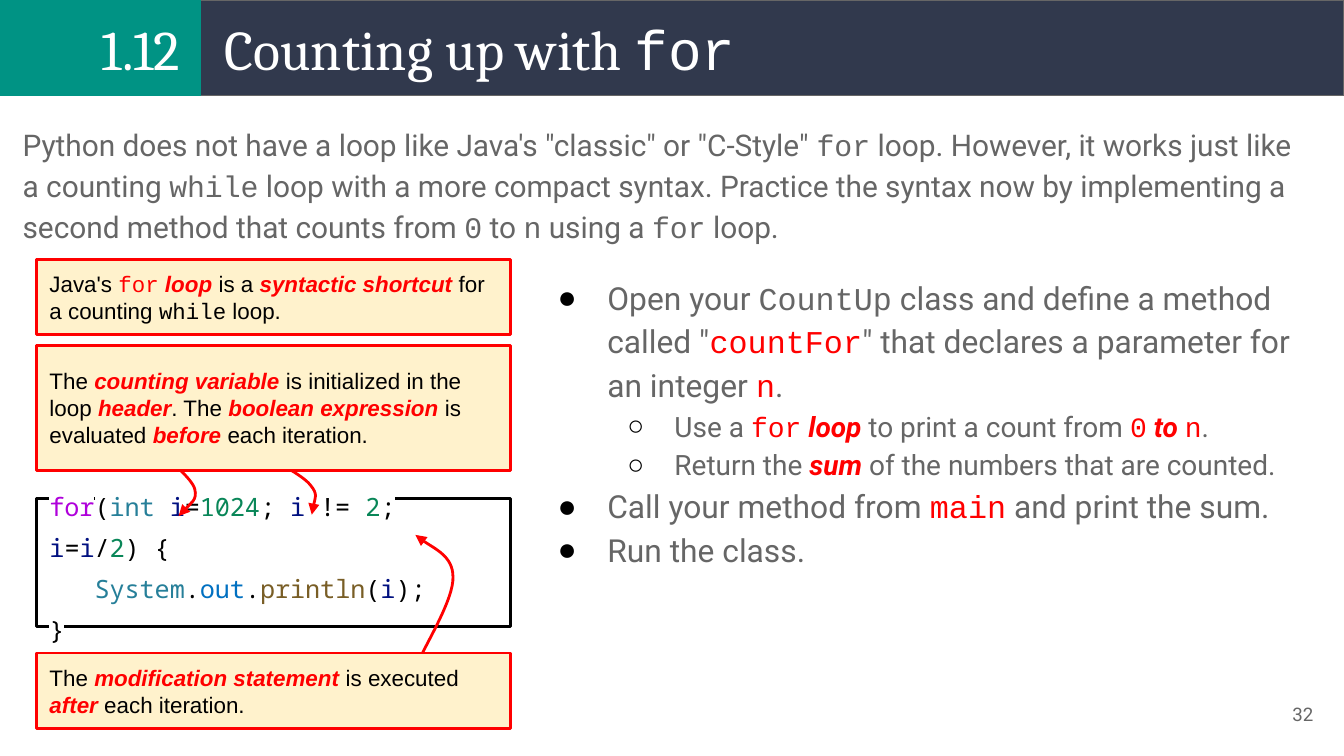
import pptx
import pptx.dml.color
import pptx.enum.shapes
import pptx.enum.text
import pptx.oxml
import pptx.oxml.ns
import pptx.util
from lxml import etree

Inches = pptx.util.Inches
Pt = pptx.util.Pt
qn = pptx.oxml.ns.qn
RECTANGLE = pptx.enum.shapes.MSO_SHAPE.RECTANGLE
ALIGN = pptx.enum.text.PP_ALIGN
ANCHOR = pptx.enum.text.MSO_ANCHOR
FIT = pptx.enum.text.MSO_AUTO_SIZE

COLORS = {
    "white": "FFFFFF", "black": "000000", "grey": "666666", "red": "FF0000",
    "navy": "31394D", "teal": "009384", "cream": "FFF2CC",
    "keyword": "AF00DB", "type": "267F99", "variable": "001080",
    "number": "098658", "field": "0070C1", "method": "795E26",
}
LOOKS = {
    "body": ("Roboto", "grey", False),
    "body code": ("Courier New", "grey", False),
    "body term": ("Roboto", "red", True),
    "red code": ("Courier New", "red", False),
    "note": ("Arial", "black", False),
    "note code": ("Courier New", "black", False),
    "note term": ("Arial", "red", True),
    "heading": ("Cambria", "white", False),
    "heading code": ("Courier New", "white", False),
}
for token in ("black", "keyword", "type", "variable", "number", "field", "method"):
    LOOKS[token] = ("Noto Sans Mono", token, False)

INTRO = [
    ("Python does not have a loop like Java's \"classic\" or \"C-Style\" ", "body"),
    ("for", "body code"),
    (" loop. However, it works just like a counting ", "body"),
    ("while", "body code"),
    (" loop with a more compact syntax. Practice the syntax now by implementing "
     "a second method that counts from ", "body"),
    ("0", "body code"), (" to ", "body"), ("n", "body code"),
    (" using a ", "body"), ("for", "body code"), (" loop.", "body"),
]
TASKS = [
    (0, [("Open your ", "body"), ("CountUp", "body code"),
         (" class and define a method called \"", "body"), ("countFor", "red code"),
         ("\" that declares a parameter for an integer ", "body"),
         ("n", "red code"), (".", "body")]),
    (1, [("Use a ", "body"), ("for", "red code"), (" loop ", "body term"),
         ("to print a count from ", "body"), ("0", "red code"),
         (" to ", "body term"), ("n", "red code"), (".", "body")]),
    (1, [("Return the ", "body"), ("sum ", "body term"),
         ("of the numbers that are counted.", "body")]),
    (0, [("Call your method from ", "body"), ("main", "red code"),
         (" and print the sum.", "body")]),
    (0, [("Run the class.", "body")]),
]
BULLETS = [("●", 17, 0.5, -0.37), ("○", 15, 1, -0.35)]
CODE = [
    [("for", "keyword"), ("(", "black"), ("int", "type"), (" ", "black"),
     ("i", "variable"), ("=", "black"), ("1024", "number"), ("; ", "black"),
     ("i", "variable"), (" != ", "black"), ("2", "number"), ("; ", "black"),
     ("i", "variable"), ("=", "black"), ("i", "variable"), ("/", "black"),
     ("2", "number"), (") {", "black")],
    [("   ", "black"), ("System", "type"), (".", "black"), ("out", "field"),
     (".", "black"), ("println", "method"), ("(", "black"), ("i", "variable"),
     (");", "black")],
    [("}", "black")],
]
SHORTCUT = [
    ("Java's ", "note"), ("for", "red code"), (" loop ", "note term"),
    ("is a ", "note"), ("syntactic shortcut", "note term"),
    (" for a counting ", "note"), ("while", "note code"), (" loop.", "note"),
]
HEADER = [
    ("The ", "note"), ("counting variable ", "note term"),
    ("is initialized in the loop ", "note"), ("header", "note term"),
    (". The ", "note"), ("boolean expression ", "note term"),
    ("is evaluated ", "note"), ("before ", "note term"), ("each iteration.", "note"),
]
MODIFICATION = [
    ("The ", "note"), ("modification statement ", "note term"),
    ("is executed ", "note"), ("after ", "note term"), ("each iteration.", "note"),
]
TO_INITIALIZER = [(0.94, 1.44), (0.98, 1.49), (1.16, 1.63), (1.18, 1.71),
                  (1.2, 1.79), (1.08, 1.88), (1.06, 1.91)]
TO_CONDITION = [(1.67, 1.44), (1.73, 1.48), (1.98, 1.6), (2.04, 1.68),
                (2.1, 1.75), (2.05, 1.87), (2.05, 1.9)]
TO_UPDATE = [(2.86, 2.96), (2.9, 2.86), (3.11, 2.52), (3.1, 2.36),
             (3.1, 2.21), (2.87, 2.1), (2.82, 2.05)]


def rgb(name):
    """Return the named colour."""
    return pptx.dml.color.RGBColor.from_string(COLORS[name])


def write(paragraph, runs, size, highlight=None):
    """Add the runs to a paragraph in their looks."""
    for text, look in runs:
        face, color, emphasis = LOOKS[look]
        run = paragraph.add_run()
        run.text = text
        run.font.size, run.font.name = Pt(size), face
        run.font.bold = run.font.italic = emphasis
        run.font.color.rgb = rgb(color)
        if highlight:
            latin = run.font._element.find(qn("a:latin"))
            marker = etree.Element(qn("a:highlight"))
            etree.SubElement(marker, qn("a:srgbClr"), val=COLORS[highlight])
            latin.addprevious(marker)


def prepare(shape, anchor=ANCHOR.MIDDLE):
    """Set wrapping, margins and anchor, and return the text frame."""
    frame = shape.text_frame
    frame.word_wrap = True
    frame.auto_size = FIT.NONE
    frame.vertical_anchor = anchor
    frame.margin_left = frame.margin_right = Inches(0.1)
    frame.margin_top = frame.margin_bottom = Inches(0.1)
    return frame


def add_text(slide, box, anchor=ANCHOR.MIDDLE):
    """Add a text box and return its frame."""
    return prepare(slide.shapes.add_textbox(*map(Inches, box)), anchor)


def add_panel(slide, box, fill, line, weight):
    """Add a filled, outlined rectangle and return its frame."""
    panel = slide.shapes.add_shape(RECTANGLE, *map(Inches, box))
    panel.shadow.inherit = False
    panel.fill.solid()
    panel.fill.fore_color.rgb = rgb(fill)
    panel.line.color.rgb = rgb(line)
    panel.line.width = Pt(weight)
    return prepare(panel)


def add_curved_arrow(slide, left, top, points):
    """Draw a red arrow along cubic curves, offset from the given corner."""
    start, *rest = [(Inches(left + x), Inches(top + y)) for x, y in points]
    builder = slide.shapes.build_freeform(*start)
    builder.add_line_segments(rest, close=False)
    arrow = builder.convert_to_shape()
    arrow.shadow.inherit = False
    arrow.fill.background()
    arrow.line.color.rgb = rgb("red")
    arrow.line.width = Pt(1.5)
    etree.SubElement(arrow.line._get_or_add_ln(), qn("a:tailEnd"), type="triangle")
    outline = next(arrow._element.iter(qn("a:path")))
    steps = outline.findall(qn("a:lnTo"))
    for first in range(0, len(steps), 3):
        curve = etree.SubElement(outline, qn("a:cubicBezTo"))
        for step in steps[first:first + 3]:
            curve.append(step[0])
            outline.remove(step)


def add_header(slide, left, top, width, height):
    """Place the section number and the slide title on their bands."""
    split = 1.49
    add_panel(slide, (left + split, top, width - split, height), "navy", "grey", 0.75)
    add_panel(slide, (left, top, split, height), "teal", "teal", 0.75)
    title = slide.shapes.title
    slide.shapes._spTree.append(title._element)
    title.left, title.top = Inches(left + 1.57), Inches(top)
    title.width, title.height = Inches(width - 1.64), Inches(height)
    heading = prepare(title).paragraphs[0]
    heading.alignment = ALIGN.LEFT
    write(heading, [("Counting up with ", "heading"), ("for", "heading code")], 30)
    section = add_text(slide, (left + 0.07, top, 1.37, height)).paragraphs[0]
    section.alignment = ALIGN.RIGHT
    write(section, [("1.12", "heading")], 30)


def add_intro(slide, *box):
    """Place the introductory paragraph."""
    intro = add_text(slide, box, ANCHOR.TOP).paragraphs[0]
    intro.line_spacing = 1.15
    write(intro, INTRO, 16)


def add_tasks(slide, *box):
    """Place the two-level bulleted task list."""
    frame = add_text(slide, box, ANCHOR.TOP)
    for index, (level, runs) in enumerate(TASKS):
        task = frame.add_paragraph() if index else frame.paragraphs[0]
        mark, size, margin, indent = BULLETS[level]
        task.level = level
        task.line_spacing = 1.15
        properties = task._p.get_or_add_pPr()
        properties.set("marL", str(Inches(margin)))
        properties.set("indent", str(Inches(indent)))
        tint = etree.SubElement(properties, qn("a:buClr"))
        etree.SubElement(tint, qn("a:srgbClr"), val=COLORS["black"])
        etree.SubElement(properties, qn("a:buFont"), typeface="Arial")
        etree.SubElement(properties, qn("a:buChar"), char=mark)
        write(task, runs, size)


def add_note(slide, box, runs):
    """Place one cream note."""
    note = add_panel(slide, box, "cream", "red", 1.5).paragraphs[0]
    note.alignment = ALIGN.LEFT
    write(note, runs, 12)


def add_loop_column(slide, left, top, width):
    """Place the code listing with its notes and arrows."""
    listing = add_panel(slide, (left, top + 1.78, width, 0.95), "white", "black", 1.5)
    for index, tokens in enumerate(CODE):
        line = listing.add_paragraph() if index else listing.paragraphs[0]
        line.alignment = ALIGN.LEFT
        line.line_spacing = 1.36
        write(line, tokens, 13.5, highlight="white")
    add_note(slide, (left, top, width, 0.56), SHORTCUT)
    add_curved_arrow(slide, left, top, TO_INITIALIZER)
    add_curved_arrow(slide, left, top, TO_CONDITION)
    add_note(slide, (left, top + 0.64, width, 0.93), HEADER)
    add_curved_arrow(slide, left, top, TO_UPDATE)
    add_note(slide, (left, top + 2.93, width, 0.56), MODIFICATION)


def add_page_number(slide, *box):
    """Place the page number."""
    number = add_text(slide, box).paragraphs[0]
    number.alignment = ALIGN.RIGHT
    write(number, [("32", "body")], 10)


def main():
    """Build and save the slide."""
    deck = pptx.Presentation()
    deck.slide_width = Inches(10)
    deck.slide_height = deck.slide_width * 9 // 16
    slide = deck.slides.add_slide(deck.slide_layouts[5])
    add_header(slide, 0, 0, 10, 0.71)
    add_intro(slide, 0.07, 0.8, 9.79, 1.09)
    add_page_number(slide, 9.27, 5.1, 0.6, 0.43)
    add_tasks(slide, 3.92, 1.93, 5.85, 2.39)
    add_loop_column(slide, 0.27, 1.93, 3.53)
    deck.save("out.pptx")


if __name__ == "__main__":
    main()
